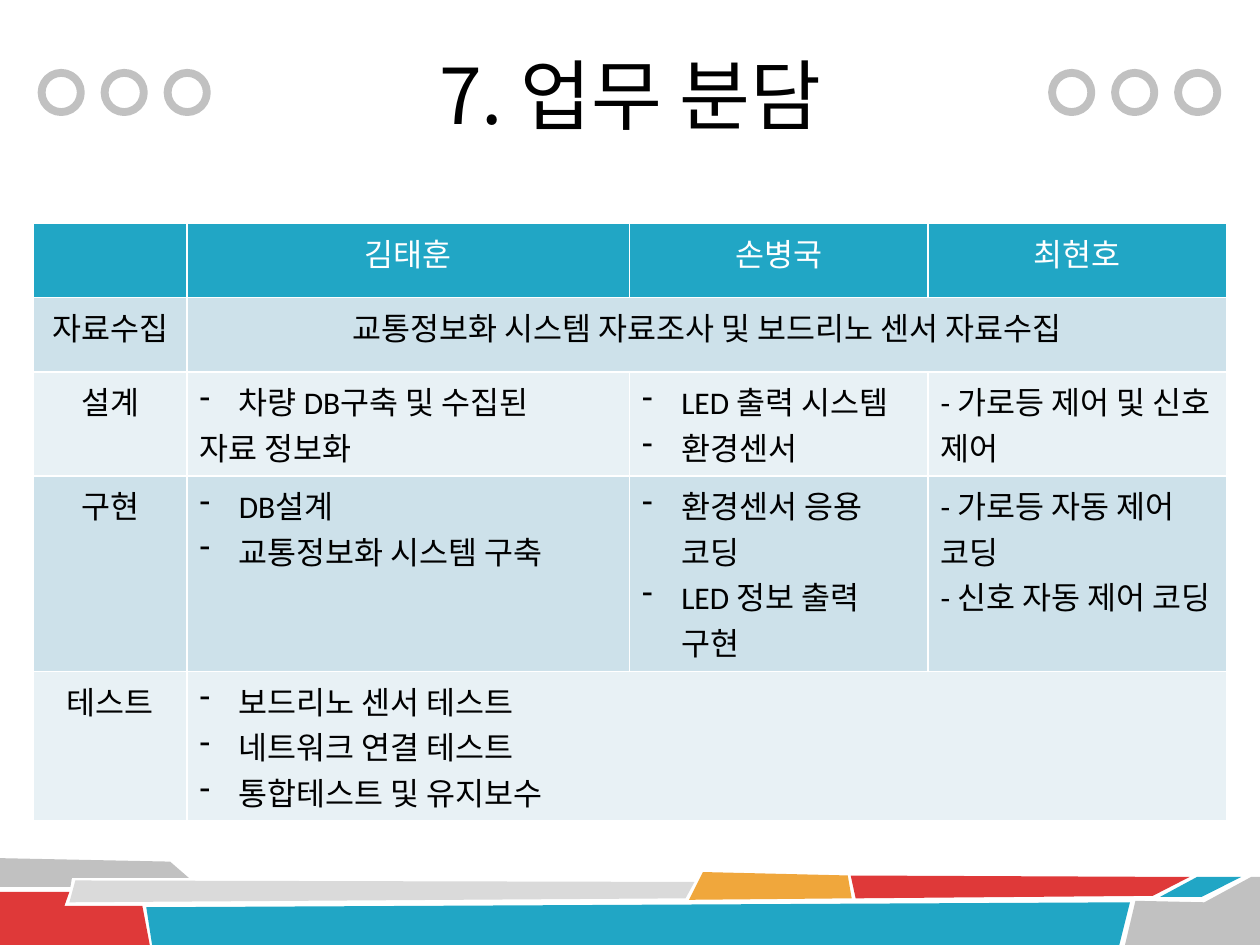
"""Build the task-assignment slide: title, ring ornaments, footer mosaic and table."""
from lxml.etree import SubElement
from pptx import Presentation
from pptx.dml.color import RGBColor
from pptx.enum.shapes import MSO_SHAPE as Shape
from pptx.enum.text import MSO_ANCHOR as Anchor, PP_ALIGN as Align
from pptx.oxml.ns import qn
from pptx.util import Cm, Pt

GRAY, RED, TEAL, WHITE = "C1C1C1", "DF3939", "21A6C5", "FFFFFF"
KOREAN = "Noto Sans CJK KR"


def color(value):
    return RGBColor.from_string(value)


def write(frame, lines, size=18, ink="000000", font="Calibri", align=Align.LEFT, bullets=0):
    for index, line in enumerate(lines):
        para = frame.paragraphs[0] if index == 0 else frame.add_paragraph()
        para.alignment = align
        span = para.add_run()
        span.text = line
        span.font.size, span.font.name, span.font.bold = Pt(size), font, False
        span.font.color.rgb = color(ink)
        SubElement(span.font._element, qn("a:ea"), typeface=KOREAN)
        if index < bullets:
            props = para._p.get_or_add_pPr()
            props.set("marL", str(Cm(0.79)))
            props.set("indent", str(-Cm(0.79)))
            SubElement(props, qn("a:buChar"), char="-")


deck = Presentation()
deck.slide_width, deck.slide_height = Cm(25.4), Cm(19.05)
page = deck.slides.add_slide(deck.slide_layouts[5])

mosaic = [
    (GRAY, [(0, 17.3), (3.43, 17.37), (3.81, 17.7), (1.45, 17.7), (1.42, 17.88), (0, 17.88)]),
    (RED, [(0, 17.98), (1.4, 17.98), (1.3, 18.26), (2.87, 18.26), (3.02, 19.05), (0, 19.05)]),
    ("DADADA", [(1.52, 17.75), (14, 17.78), (13.82, 18.11), (1.4, 18.19)]),
    (TEAL, [(2.95, 18.29), (22.78, 18.19), (22.56, 19.07), (3.07, 19.07)]),
    ("F0A73C", [(14.17, 17.58), (17.09, 17.65), (17.17, 18.11), (13.89, 18.14)]),
    (RED, [(17.15, 17.65), (23.98, 17.68), (23.24, 18.06), (17.25, 18.11)]),
    (TEAL, [(24.13, 17.68), (25.02, 17.68), (24.23, 18.08), (23.39, 18.08)]),
    (GRAY, [(22.89, 18.16), (24.28, 18.19), (25.22, 17.68), (25.4, 17.68),
            (25.4, 19.05), (22.68, 19.05)]),
]
for fill, points in mosaic:
    corners = [(Cm(x), Cm(y)) for x, y in points]
    builder = page.shapes.build_freeform(*corners[0])
    builder.add_line_segments(corners[1:], close=True)
    tile = builder.convert_to_shape()
    tile.shadow.inherit = False
    tile.fill.solid()
    tile.fill.fore_color.rgb = color(fill)
    tile.line.fill.background()

for start in (0.84, 21.21):
    for step in range(3):
        ring = page.shapes.add_shape(
            Shape.OVAL, Cm(start + 1.27 * step), Cm(1.47), Cm(0.79), Cm(0.79))
        ring.shadow.inherit = False
        ring.fill.background()
        ring.line.color.rgb = color(GRAY)
        ring.line.width = Pt(4.5)

title = page.shapes.title
title.left, title.top, title.width, title.height = Cm(4.45), Cm(0.3), Cm(16.51), Cm(3.18)
title.text_frame.vertical_anchor = Anchor.MIDDLE
write(title.text_frame, ["7. 업무 분담"], size=44, font=KOREAN, align=Align.CENTER)

widths = [3.1, 8.92, 6.02, 6.02]
heights = [1.5, 1.5, 2.08, 3.94, 3]
fills = [TEAL, "CDE1EA", "E8F1F5", "CDE1EA", "E8F1F5"]
rows = [
    [[], ["김태훈"], ["손병국"], ["최현호"]],
    [["자료수집"], ["교통정보화 시스템 자료조사 및 보드리노 센서 자료수집"], [], []],
    [["설계"], ["차량 DB구축 및 수집된", "자료 정보화"],
     ["LED 출력 시스템", "환경센서"], ["- 가로등 제어 및 신호 제어"]],
    [["구현"], ["DB설계", "교통정보화 시스템 구축"],
     ["환경센서 응용 코딩", "LED 정보 출력 구현"],
     ["- 가로등 자동 제어 코딩", "- 신호 자동 제어 코딩"]],
    [["테스트"], ["보드리노 센서 테스트", "네트워크 연결 테스트", "통합테스트 및 유지보수"], [], []],
]
bullet_counts = {(2, 1): 1, (2, 2): 2, (3, 1): 2, (3, 2): 2, (4, 1): 3}

table = page.shapes.add_table(
    len(rows), len(widths), Cm(0.67), Cm(4.5), Cm(sum(widths)), Cm(sum(heights))).table
for column, width in zip(table.columns, widths):
    column.width = Cm(width)
for row, height in zip(table.rows, heights):
    row.height = Cm(height)

for r, row in enumerate(rows):
    for c, lines in enumerate(row):
        cell = table.cell(r, c)
        for side in "LRTB":
            border = SubElement(cell._tc.get_or_add_tcPr(), qn(f"a:ln{side}"), w=str(Pt(1)))
            SubElement(SubElement(border, qn("a:solidFill")), qn("a:srgbClr"), val=WHITE)
        cell.fill.solid()
        cell.fill.fore_color.rgb = color(fills[r])
        centered = r < 2 or c == 0
        write(cell.text_frame, lines, ink=WHITE if r == 0 else "000000",
              align=Align.CENTER if centered else Align.LEFT,
              bullets=bullet_counts.get((r, c), 0))
for r in (1, 4):
    table.cell(r, 1).merge(table.cell(r, 3))

deck.save("out.pptx")
